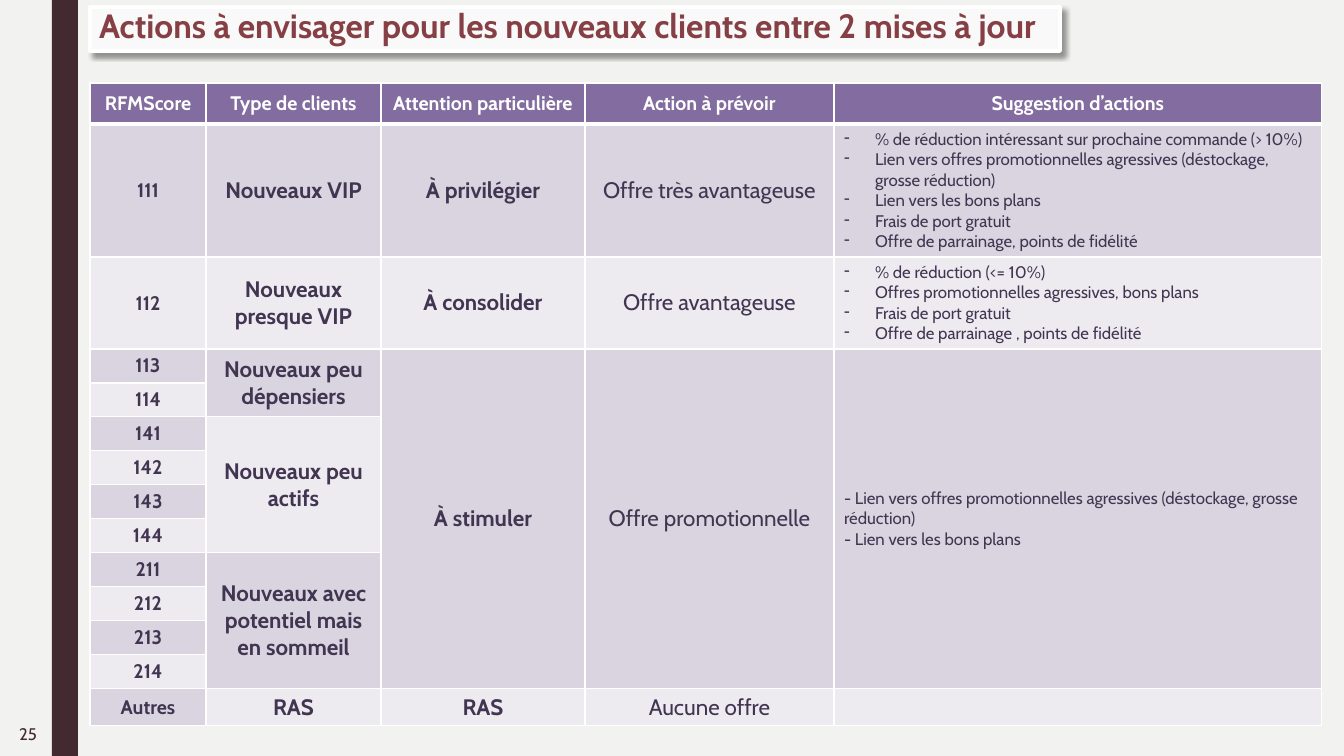
"""Build the slide of actions planned for new clients between two updates."""
from dataclasses import dataclass

from lxml.etree import SubElement
from pptx import Presentation
from pptx.dml.color import RGBColor
from pptx.enum.shapes import MSO_SHAPE
from pptx.enum.text import MSO_ANCHOR, MSO_AUTO_SIZE, PP_ALIGN
from pptx.oxml.ns import qn
from pptx.util import Emu, Pt

TITLE = "Actions à envisager pour les nouveaux clients entre 2 mises à jour"
PAGE_NUMBER = "25"
SCORES = ["111", "112", "113", "114", "141", "142", "143", "144",
          "211", "212", "213", "214", "Autres"]
BIG_OFFER = """% de réduction intéressant sur prochaine commande (> 10%)
Lien vers offres promotionnelles agressives (déstockage, grosse réduction)
Lien vers les bons plans
Frais de port gratuit
Offre de parrainage, points de fidélité"""
GOOD_OFFER = """% de réduction (<= 10%)
Offres promotionnelles agressives, bons plans
Frais de port gratuit
Offre de parrainage , points de fidélité"""
PROMOTION = """- Lien vers offres promotionnelles agressives (déstockage, grosse réduction)
- Lien vers les bons plans"""


@dataclass(frozen=True)
class Theme:
    """Colours, font and type sizes of the slide."""
    font: str = "Cabin"
    paper: str = "F2F2F0"
    band: str = "432A30"
    title: str = "863F44"
    panel: str = "F9F9F9"
    white: str = "FFFFFF"
    shadow: str = "000000"
    header: str = "836C9F"
    ink: str = "413551"
    stripes: tuple = ("D9D4DF", "EDEBF0")
    title_size: int = 24
    label_size: int = 16
    score_size: int = 14
    small_size: int = 12


THEME = Theme()
COLUMNS = [
    {"head": "RFMScore", "width": 116, "size": THEME.score_size, "bold": True,
     "groups": [(score, 1) for score in SCORES]},
    {"head": "Type de clients", "width": 175, "size": THEME.label_size, "bold": True,
     "groups": [("Nouveaux VIP", 1), ("Nouveaux presque VIP", 1),
                ("Nouveaux peu dépensiers", 2), ("Nouveaux peu actifs", 4),
                ("Nouveaux avec potentiel mais en sommeil", 4), ("RAS", 1)]},
    {"head": "Attention particulière", "width": 204, "size": THEME.label_size, "bold": True,
     "groups": [("À privilégier", 1), ("À consolider", 1), ("À stimuler", 10), ("RAS", 1)]},
    {"head": "Action à prévoir", "width": 249, "size": THEME.label_size, "bold": False,
     "groups": [("Offre très avantageuse", 1), ("Offre avantageuse", 1),
                ("Offre promotionnelle", 10), ("Aucune offre", 1)]},
    {"head": "Suggestion d’actions", "width": 488, "size": THEME.small_size, "bold": False,
     "align": PP_ALIGN.LEFT,
     "groups": [(BIG_OFFER, 1), (GOOD_OFFER, 1), (PROMOTION, 10), ("", 1)]},
]
ROW_HEIGHTS = [41, 133, 92] + [34] * 10 + [37]
TABLE_LEFT, TABLE_TOP = 90, 83
PAGE_WIDTH, PAGE_HEIGHT = 1344, 756
BULLET_INDENT = 31


def px(length):
    """Turn px into EMU."""
    return Emu(round(length * 914400 / 100.8))


def paint(fill, colour):
    """Apply a solid colour."""
    fill.solid()
    fill.fore_color.rgb = RGBColor.from_string(colour)


def write(frame, text, size, colour, bold=False, align=PP_ALIGN.LEFT):
    """Set the text of a frame and format its runs."""
    frame.text = text
    frame.word_wrap = True
    for para in frame.paragraphs:
        para.alignment = align
        for span in para.runs:
            span.font.name = THEME.font
            span.font.size = Pt(size)
            span.font.bold = bold
            span.font.color.rgb = RGBColor.from_string(colour)
        if not para.runs:
            SubElement(para._p, qn("a:endParaRPr"), sz=str(size * 100))


def add_bullets(frame):
    """Give each paragraph a hanging dash."""
    for para in frame.paragraphs:
        properties = para._p.get_or_add_pPr()
        properties.set("marL", str(px(BULLET_INDENT)))
        properties.set("indent", str(-px(BULLET_INDENT)))
        SubElement(properties, qn("a:buChar"), char="-")


def style_cell(cell, colour, bottom=1):
    """Draw white borders and fill a cell."""
    properties = cell._tc.get_or_add_tcPr()
    for side, width in (("L", 1), ("R", 1), ("T", 1), ("B", bottom)):
        line = SubElement(properties, qn(f"a:ln{side}"), w=str(Pt(width)))
        SubElement(SubElement(line, qn("a:solidFill")), qn("a:srgbClr"), val=THEME.white)
    paint(cell.fill, colour)
    cell.vertical_anchor = MSO_ANCHOR.MIDDLE


def add_box(page, left, top, width, height, colour):
    """Add a plain filled rectangle."""
    box = page.shapes.add_shape(MSO_SHAPE.RECTANGLE, px(left), px(top), px(width), px(height))
    box.shadow.inherit = False
    paint(box.fill, colour)
    box.line.fill.background()
    return box


def add_title(page):
    """Place the title on its shadowed panel."""
    panel = add_box(page, 90, 7, 970, 44, THEME.panel)
    paint(panel.line.fill, THEME.white)
    panel.line.width = Pt(2.75)
    effects = panel._element.spPr.find(qn("a:effectLst"))
    shadow = SubElement(effects, qn("a:outerShdw"), blurRad=str(Pt(4)), dist=str(Pt(3)),
                        dir=str(45 * 60000), algn="tl", rotWithShape="0")
    tint = SubElement(shadow, qn("a:srgbClr"), val=THEME.shadow)
    SubElement(tint, qn("a:alpha"), val="40000")
    title = page.shapes.title
    title.left, title.top, title.width, title.height = px(89), px(0), px(1031), px(50)
    write(title.text_frame, TITLE, THEME.title_size, THEME.title, True)
    title.text_frame.auto_size = MSO_AUTO_SIZE.NONE
    title.text_frame.vertical_anchor = MSO_ANCHOR.TOP
    panel._element.addnext(title._element)


def add_action_table(page):
    """Fill the table column by column, striping each group of rows."""
    width = sum(column["width"] for column in COLUMNS)
    table = page.shapes.add_table(len(ROW_HEIGHTS), len(COLUMNS), px(TABLE_LEFT), px(TABLE_TOP),
                                  px(width), px(sum(ROW_HEIGHTS))).table
    for row, height in zip(table.rows, ROW_HEIGHTS):
        row.height = px(height)
    for index, column in enumerate(COLUMNS):
        table.columns[index].width = px(column["width"])
        head = table.cell(0, index)
        write(head.text_frame, column["head"], THEME.score_size, THEME.white, True,
              PP_ALIGN.CENTER)
        style_cell(head, THEME.header, 3)
        first = 1
        for group, (text, count) in enumerate(column["groups"]):
            for row in range(first, first + count):
                style_cell(table.cell(row, index), THEME.stripes[group % 2])
            cell = table.cell(first, index)
            if count > 1:
                cell.merge(table.cell(first + count - 1, index))
            align = column.get("align", PP_ALIGN.CENTER)
            write(cell.text_frame, text, column["size"], THEME.ink, column["bold"], align)
            if "\n" in text and not text.startswith("-"):
                add_bullets(cell.text_frame)
            first += count


def main():
    """Assemble and save the deck."""
    deck = Presentation()
    deck.slide_width, deck.slide_height = px(PAGE_WIDTH), px(PAGE_HEIGHT)
    page = deck.slides.add_slide(deck.slide_layouts[5])
    paint(page.background.fill, THEME.paper)
    add_box(page, 52, 0, 26, PAGE_HEIGHT, THEME.band)
    number = page.shapes.add_textbox(px(0), px(712), px(47), px(44))
    write(number.text_frame, PAGE_NUMBER, THEME.small_size, THEME.band, align=PP_ALIGN.RIGHT)
    number.text_frame.vertical_anchor = MSO_ANCHOR.MIDDLE
    add_action_table(page)
    add_title(page)
    deck.save("out.pptx")


if __name__ == "__main__":
    main()
